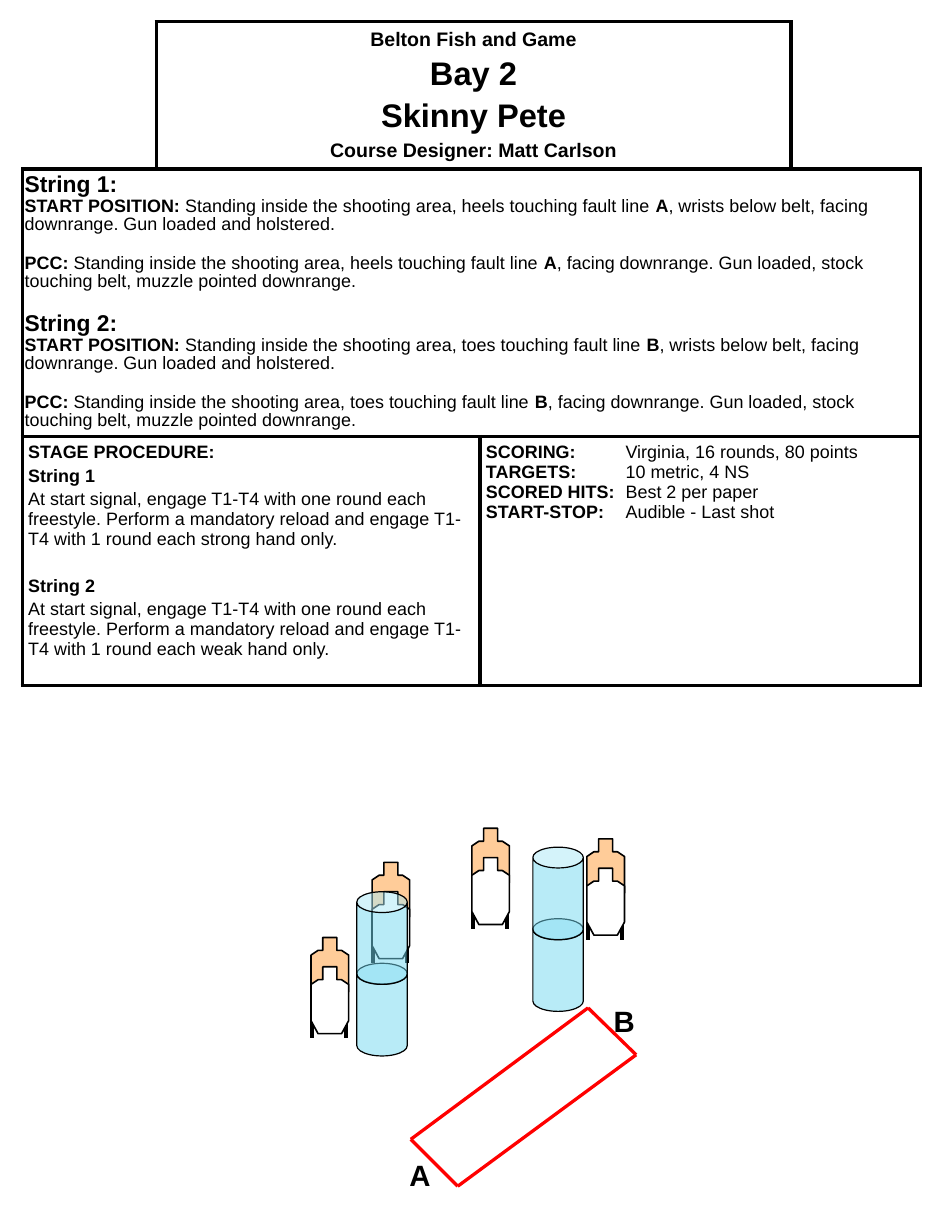
"""Build the one-page stage briefing for Bay 2, Skinny Pete."""
import itertools

import lxml.etree
import pptx
import pptx.dml.color
import pptx.enum.shapes
import pptx.enum.text
import pptx.oxml.ns
import pptx.util

Inches = pptx.util.Inches
Pt = pptx.util.Pt
COLORS = {"ink": "000000", "paper": "FFFFFF", "fault": "FF0000",
          "target": "FFCC99", "barrel": "73D9F1"}
TARGET_OUTLINE = [(0.1, 0), (0.22, 0), (0.22, 0.11), (0.26, 0.11), (0.32, 0.15),
                  (0.32, 0.46), (0.26, 0.57), (0.06, 0.57), (0, 0.46), (0, 0.15),
                  (0.06, 0.11), (0.1, 0.11)]


def color(name):
    return pptx.dml.color.RGBColor.from_string(COLORS[name])


def add_element(parent, tag, **attributes):
    return lxml.etree.SubElement(parent, pptx.oxml.ns.qn(tag), **attributes)


class StageSheet:
    """Style and drawing methods for the current slide."""

    font = "Arial"

    def __init__(self, slide):
        self.slide = slide

    def text(self, frame, lines, spacing=None, align=None, tab=None):
        """Fill a frame with (text, size, space before); asterisks mark bold."""
        for index, (text, size, before) in enumerate(lines):
            para = frame.paragraphs[0] if index == 0 else frame.add_paragraph()
            para.alignment = align
            para.space_before = Pt(before)
            if spacing:
                para.line_spacing = spacing
            if tab:
                stops = add_element(para._p.get_or_add_pPr(), "a:tabLst")
                add_element(stops, "a:tab", pos=str(Inches(tab)), algn="l")
            para.font.name = self.font
            para.font.size = Pt(size)
            para.font.color.rgb = color("ink")
            pieces = [(piece, order % 2 == 1)
                      for order, piece in enumerate(text.split("*")) if piece]
            if len(pieces) == 1:
                para.font.bold = pieces[0][1]
            for piece, bold in pieces:
                span = para.add_run()
                span.text = piece
                if len(pieces) > 1:
                    span.font.bold = bold

    def table(self, left, top, widths, heights):
        frame = self.slide.shapes.add_table(
            len(heights), len(widths), Inches(left), Inches(top),
            Inches(sum(widths)), Inches(sum(heights)))
        grid = frame.table
        grid.first_row = grid.horz_banding = False
        for column, width in zip(grid.columns, widths):
            column.width = Inches(width)
        for row, height in zip(grid.rows, heights):
            row.height = Inches(height)
        return grid

    def cell(self, cell, sides):
        for side in sides:
            edge = add_element(cell._tc.get_or_add_tcPr(), f"a:ln{side}", w=str(Pt(2.25)))
            add_element(add_element(edge, "a:solidFill"), "a:srgbClr", val=COLORS["ink"])
        cell.fill.solid()
        cell.fill.fore_color.rgb = color("paper")

    def cell_text(self, cell, lines, margins=(0.05, 0.05), **style):
        cell.margin_left = cell.margin_right = Inches(margins[0])
        cell.margin_top = cell.margin_bottom = Inches(margins[1])
        self.text(cell.text_frame, lines, **style)

    def line(self, shapes, start, end, line_color, width):
        line = shapes.add_connector(pptx.enum.shapes.MSO_CONNECTOR.STRAIGHT,
                                    *map(Inches, start + end))
        line.line.color.rgb = color(line_color)
        line.line.width = Pt(width)
        add_element(line._element.spPr, "a:effectLst")

    def paint(self, shape, fill, width):
        shape.shadow.inherit = False
        shape.fill.solid()
        shape.fill.fore_color.rgb = color(fill)
        shape.line.color.rgb = color("ink")
        shape.line.width = Pt(width)

    def target(self, x, y):
        shapes = self.slide.shapes.add_group_shape().shapes
        for leg in (x + 0.01, x + 0.3):
            self.line(shapes, (leg, y + 0.42), (leg, y + 0.86), "ink", 2.25)
        for top, fill in ((y, "target"), (y + 0.25, "paper")):
            points = [(Inches(x + dx), Inches(top + dy)) for dx, dy in TARGET_OUTLINE]
            builder = shapes.build_freeform(*points[0])
            builder.add_line_segments(points[1:], close=True)
            self.paint(builder.convert_to_shape(), fill, 1)

    def barrels(self, x, y):
        shapes = self.slide.shapes.add_group_shape().shapes
        for top in (y + 0.61, y):
            can = shapes.add_shape(pptx.enum.shapes.MSO_SHAPE.CAN, Inches(x), Inches(top),
                                   Inches(0.43), Inches(0.79))
            can.adjustments[0] = 0.413
            self.paint(can, "barrel", 0.75)
            tint = can._element.spPr.find(".//" + pptx.oxml.ns.qn("a:srgbClr"))
            add_element(tint, "a:alpha", val="50000")

    def label(self, text, x, y):
        box = self.slide.shapes.add_textbox(Inches(x), Inches(y), Inches(0.31), Inches(0.4))
        box.text_frame.word_wrap = True
        self.text(box.text_frame, [(f"*{text}*", 18, 0)])


def start_lines(number, heels_or_toes, fault_line, before):
    place = f"Standing inside the shooting area, {heels_or_toes} touching fault line *{fault_line}*"
    return [
        (f"*String {number}:*", 14, before),
        (f"*START POSITION:* {place}, wrists below belt, facing downrange. "
         "Gun loaded and holstered.", 11, 1.1),
        (f"*PCC: *{place}, facing downrange. Gun loaded, stock touching belt, "
         "muzzle pointed downrange.", 11, 12.9)]


def procedure_lines(number, hand, before):
    return [
        (f"*String {number}*", 11, before),
        ("At start signal, engage T1-T4 with one round each freestyle. Perform a mandatory "
         f"reload and engage T1-T4 with 1 round each {hand} hand only.", 11, 2.2)]


def main():
    deck = pptx.Presentation()
    deck.slide_width, deck.slide_height = Inches(8), Inches(10.5)
    sheet = StageSheet(deck.slides.add_slide(deck.slide_layouts[6]))

    grid = sheet.table(0.19, 0.18, [1.14, 2.76, 2.65, 1.1], [1.26, 2.28, 2.12])
    corners = {(0, 0): "RB", (0, 3): "LB"}
    for row, column in itertools.product(range(3), range(4)):
        sheet.cell(grid.cell(row, column), corners.get((row, column), "LRTB"))
    for row, first, last in ((0, 1, 2), (1, 0, 3), (2, 0, 1), (2, 2, 3)):
        grid.cell(row, first).merge(grid.cell(row, last))

    heading = grid.cell(0, 1)
    heading.vertical_anchor = pptx.enum.text.MSO_ANCHOR.MIDDLE
    sheet.cell_text(heading, [
        ("*Belton Fish and Game*", 12, 0), ("*Bay 2*", 20, 3.4),
        ("*Skinny Pete*", 20, 3.4), ("*Course Designer: Matt Carlson*", 12, 3.4)],
        align=pptx.enum.text.PP_ALIGN.CENTER)
    sheet.cell_text(grid.cell(1, 0),
                    start_lines(1, "heels", "A", 0) + start_lines(2, "toes", "B", 13),
                    margins=(0.02, 0.04), spacing=0.9)
    sheet.cell_text(grid.cell(2, 0), [("*STAGE PROCEDURE:*", 11, 0)]
                    + procedure_lines(1, "strong", 2.2) + procedure_lines(2, "weak", 16.5))
    facts = {"SCORING": "Virginia, 16 rounds, 80 points", "TARGETS": "10 metric, 4 NS",
             "SCORED HITS": "Best 2 per paper", "START-STOP": "Audible - Last shot"}
    sheet.cell_text(grid.cell(2, 2),
                    [(f"*{name}:*\t{value}", 11, 0) for name, value in facts.items()], tab=1.19)

    area = [(5.01, 8.59), (5.42, 8.99), (3.9, 10.11), (3.5, 9.71)]
    for start, end in zip(area, area[1:] + area[:1]):
        sheet.line(sheet.slide.shapes, start, end, "fault", 2)
    for x, y in ((2.65, 7.99), (3.17, 7.35), (4.02, 7.06), (5, 7.15)):
        sheet.target(x, y)
    for x, y in ((4.54, 7.22), (3.04, 7.6)):
        sheet.barrels(x, y)
    sheet.label("A", 3.39, 9.81)
    sheet.label("B", 5.13, 8.5)
    deck.save("out.pptx")


if __name__ == "__main__":
    main()
